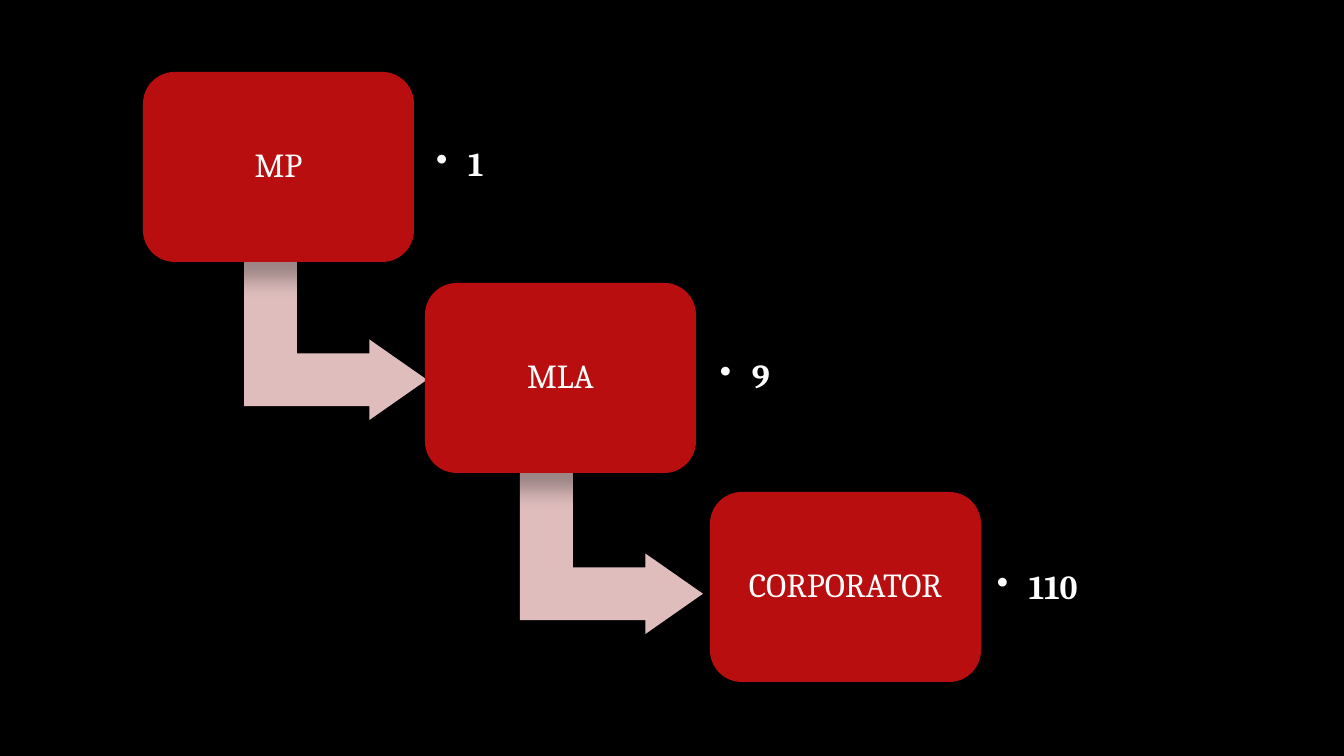
from dataclasses import dataclass

from lxml import etree
from pptx import Presentation
from pptx.dml.color import RGBColor
from pptx.enum import shapes, text
from pptx.oxml.ns import qn
from pptx import util as u

PX = 914400 / 100.8
CARD_SIZE = (271, 190)
ARROW_SIZE = (161, 183)
COUNT_SIZE = (198, 153)
BULLET_INDENT = 32


@dataclass(frozen=True)
class Theme:
    background: RGBColor = RGBColor(0, 0, 0)
    card: RGBColor = RGBColor(0xB8, 0x0E, 0x0F)
    arrow: RGBColor = RGBColor(0xDF, 0xBD, 0xBD)
    ink: RGBColor = RGBColor(0xFF, 0xFF, 0xFF)
    font: str = "Cambria"
    size: u.Pt = u.Pt(24)


THEME = Theme()

# label, count, card corner, count corner, arrow corner before rotation
STEPS = [
    ("MP", "1", (143, 72), (426, 89), (255, 248)),
    ("MLA", "9", (425, 283), (710, 301), (531, 462)),
    ("CORPORATOR", "110", (710, 492), (987, 512), None),
]


def px(length):
    return u.Emu(round(length * PX))


def frame(corner, size):
    return [px(length) for length in (*corner, *size)]


def add_shadow(shape):
    """Cast a soft black shadow down and to the right."""
    shape.shadow.inherit = False
    effects = shape._element.spPr.find(qn("a:effectLst"))
    shadow = etree.SubElement(
        effects, qn("a:outerShdw"), blurRad=str(u.Pt(15)), dist=str(u.Pt(18)),
        dir="2700000", rotWithShape="0")
    color = etree.SubElement(shadow, qn("a:srgbClr"), val="000000")
    etree.SubElement(color, qn("a:alpha"), val="30000")


def add_block(page, kind, corner, size, color, adjustments):
    block = page.shapes.add_shape(kind, *frame(corner, size))
    for index, value in enumerate(adjustments):
        block.adjustments[index] = value
    block.fill.solid()
    block.fill.fore_color.rgb = color
    block.line.fill.background()
    add_shadow(block)
    return block


def write(box, words, align, bold=False):
    body = box.text_frame
    body.word_wrap = True
    body.vertical_anchor = text.MSO_ANCHOR.MIDDLE
    body.margin_left = body.margin_right = px(10)
    body.margin_top = body.margin_bottom = px(10)
    para = body.paragraphs[0]
    para.text = words
    para.alignment = align
    para.line_spacing = 0.9
    para.font.name = THEME.font
    para.font.size = THEME.size
    para.font.bold = bold
    para.font.color.rgb = THEME.ink
    return para


def add_bullet(para):
    props = para._p.get_or_add_pPr()
    props.set("marL", str(px(BULLET_INDENT)))
    props.set("indent", str(px(-BULLET_INDENT)))
    bullet = etree.Element(qn("a:buChar"), char="•")
    props.find(qn("a:defRPr")).addprevious(bullet)


def add_step(page, label, count, card_corner, count_corner, arrow_corner):
    """Place a card, its count and the arrow that leaves from under it."""
    if arrow_corner:
        arrow = add_block(page, shapes.MSO_SHAPE.BENT_UP_ARROW, arrow_corner,
                          ARROW_SIZE, THEME.arrow, (0.328, 0.25, 0.358))
        arrow.rotation = 90
    card = add_block(page, shapes.MSO_SHAPE.ROUNDED_RECTANGLE, card_corner,
                     CARD_SIZE, THEME.card, (0.167,))
    write(card, label, text.PP_ALIGN.CENTER)
    box = page.shapes.add_textbox(*frame(count_corner, COUNT_SIZE))
    add_bullet(write(box, count, text.PP_ALIGN.LEFT, bold=True))


def main():
    deck = Presentation()
    deck.slide_width, deck.slide_height = px(1344), px(756)
    page = deck.slides.add_slide(deck.slide_layouts[6])
    page.background.fill.solid()
    page.background.fill.fore_color.rgb = THEME.background
    for step in STEPS:
        add_step(page, *step)
    deck.save("out.pptx")


if __name__ == "__main__":
    main()
